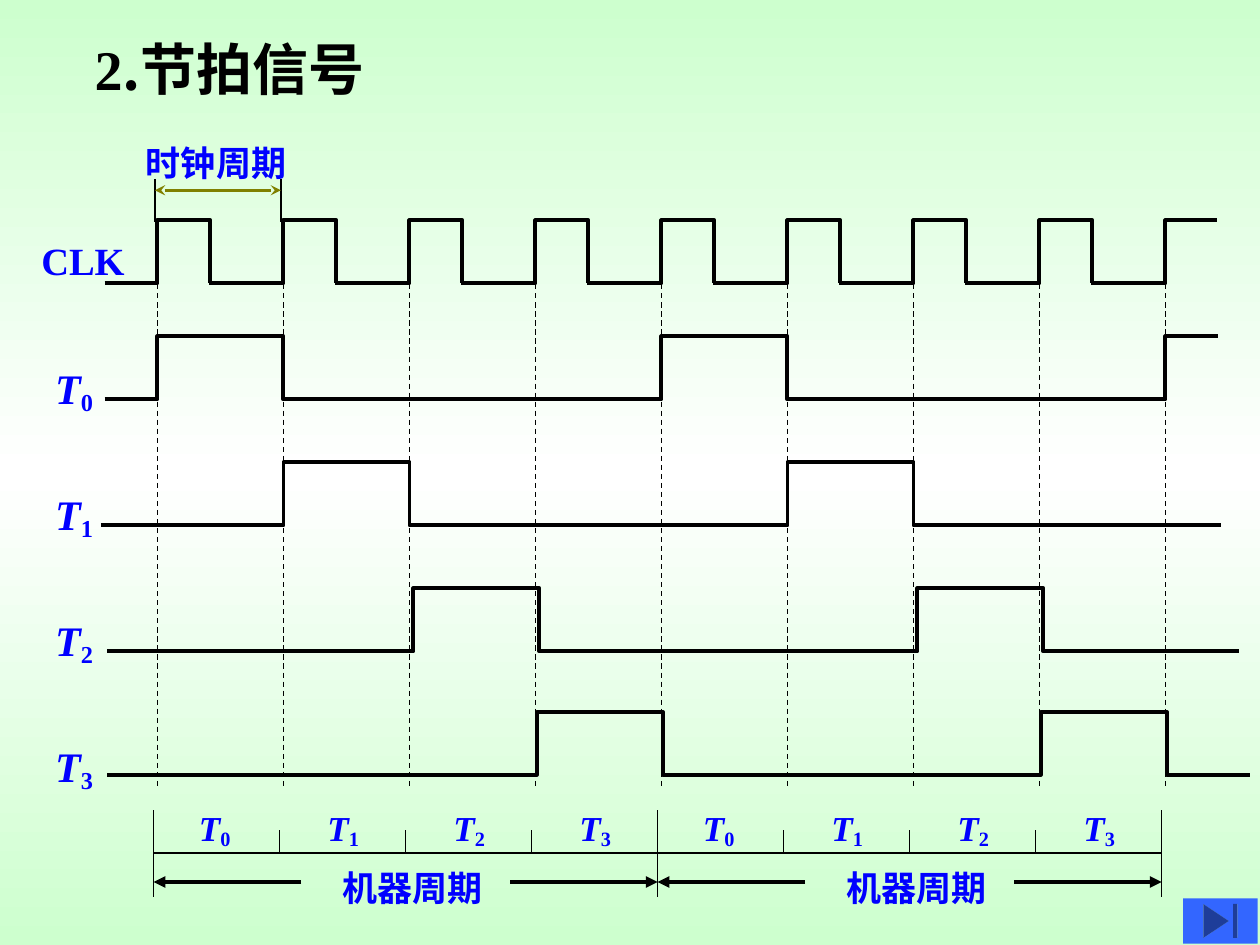
from copy import deepcopy

from lxml import etree
from pptx import Presentation
from pptx.dml.color import RGBColor
from pptx.enum.dml import MSO_LINE
from pptx.enum.shapes import MSO_CONNECTOR, MSO_SHAPE
from pptx.enum.text import MSO_ANCHOR, MSO_AUTO_SIZE, PP_ALIGN
from pptx.oxml.ns import qn
from pptx.util import Inches, Pt

STRAIGHT = MSO_CONNECTOR.STRAIGHT
DASH = MSO_LINE.DASH
END = MSO_SHAPE.ACTION_BUTTON_END
TOP = MSO_ANCHOR.TOP
LEFT = PP_ALIGN.LEFT
NO_FIT = MSO_AUTO_SIZE.NONE
BLACK = RGBColor(0x00, 0x00, 0x00)
BLUE = RGBColor(0x00, 0x00, 0xFF)
OLIVE = RGBColor(0x80, 0x80, 0x00)
BUTTON = RGBColor(0x33, 0x66, 0xFF)
GREEN = RGBColor(0xCD, 0xFF, 0xCE)
WHITE = RGBColor(0xFF, 0xFF, 0xFF)
SERIF = "Times New Roman"
HAN = "Noto Sans CJK SC"


def write(para, text, size=20, font=SERIF, color=BLUE, italic=False, base=0):
    """Add one bold run to a paragraph."""
    run = para.add_run()
    run.text = text
    run.font.size = Pt(size)
    run.font.name = font
    run.font.bold = True
    run.font.italic = italic
    run.font.color.rgb = color
    props = run.font._element
    etree.SubElement(props, qn("a:ea")).set("typeface", HAN)
    if base:
        props.set("baseline", str(base * 1000))


class Diagram:
    """Draw timing diagram elements on one slide in a shared style."""

    def __init__(self, deck):
        self.slide = deck.slides.add_slide(deck.slide_layouts[5])
        self.shapes = self.slide.shapes

    def backdrop(self):
        fill = self.slide.background.fill
        fill.gradient()
        fill.gradient_angle = 90
        stops = self.slide.element.find(".//" + qn("a:gsLst"))
        stops.insert(1, deepcopy(stops[0]))
        for stop, color, place in zip(
            fill.gradient_stops, (GREEN, WHITE, GREEN), (0, 0.5, 1)
        ):
            stop.color.rgb = color
            stop.position = place

    def title(self, number, text):
        box = self.shapes.title
        box.left, box.top = Inches(0.65), Inches(0.22)
        box.width, box.height = Inches(3.93), Inches(0.64)
        frame = box.text_frame
        frame.auto_size = NO_FIT
        frame.vertical_anchor = TOP
        para = frame.paragraphs[0]
        para.alignment = LEFT
        write(para, number, size=32, color=BLACK)
        write(para, text, size=32, font=HAN, color=BLACK)

    def label(self, text, x, y, w, h, sub="", **style):
        box = self.shapes.add_textbox(Inches(x), Inches(y), Inches(w), Inches(h))
        box.text_frame.word_wrap = False
        para = box.text_frame.paragraphs[0]
        write(para, text, italic=bool(sub), **style)
        if sub:
            write(para, sub, base=-15, **style)

    def line(self, x1, y1, x2, y2, width=0.75, color=BLACK, dash=None, head="", tail=""):
        link = self.shapes.add_connector(
            STRAIGHT, Inches(x1), Inches(y1), Inches(x2), Inches(y2)
        )
        link.line.width = Pt(width)
        link.line.color.rgb = color
        if dash:
            link.line.dash_style = dash
        stroke = link.line._get_or_add_ln()
        for tag, kind in (("a:headEnd", head), ("a:tailEnd", tail)):
            if kind:
                etree.SubElement(stroke, qn(tag)).set("type", kind)
        etree.SubElement(link._element.spPr, qn("a:effectLst"))

    def wave(self, left, right, low, rises, width):
        high = low - 0.5
        points = []
        for rise in rises:
            fall = round(rise + width, 2)
            points += [(rise, low), (rise, high), (min(fall, right), high)]
            if fall <= right:
                points.append((fall, low))
        if fall < right:
            points.append((right, low))
        form = self.shapes.build_freeform(Inches(left), Inches(low))
        form.add_line_segments([(Inches(x), Inches(y)) for x, y in points], close=False)
        shape = form.convert_to_shape()
        shape.shadow.inherit = False
        shape.fill.background()
        shape.line.color.rgb = BLACK
        shape.line.width = Pt(2.25)

    def button(self, x, y, w, h):
        shape = self.shapes.add_shape(END, Inches(x), Inches(y), Inches(w), Inches(h))
        shape.shadow.inherit = False
        shape.fill.solid()
        shape.fill.fore_color.rgb = BUTTON
        shape.line.fill.background()


def main():
    deck = Presentation()
    deck.slide_width, deck.slide_height = Inches(10), Inches(7.5)
    art = Diagram(deck)
    art.backdrop()
    art.title("2", ".节拍信号")

    rows = (
        (0.83, 9.67, 3.17, (1.25, 5.25, 9.25)),
        (0.8, 9.69, 4.17, (2.25, 6.25)),
        (0.85, 9.83, 5.17, (3.28, 7.28)),
        (0.85, 9.92, 6.15, (4.26, 8.26)),
    )
    art.label("CLK", 0.23, 1.83, 0.86, 0.47, size=22)
    for i, (left, right, low, rises) in enumerate(rows):
        art.wave(left, right, low, rises, 1)
        art.label("T", 0.34, 2.83 + i, 0.5, 0.52, sub=str(i), size=24)

    for i in range(9):
        left = i + 0.66 if i else 0.83
        right = round(i + 1.67, 2) if i < 8 else 9.66
        art.wave(left, right, 2.25, [i + 1.25], 0.42)
        art.line(i + 1.25, 1.97, i + 1.25, 6.25, dash=DASH)

    for x in (1.23, 2.23):
        art.line(x, 1.42, x, 1.76, width=1.5)
    art.line(1.23, 1.51, 2.23, 1.51, width=1.5, color=OLIVE, head="stealth", tail="stealth")
    art.label("时钟周期", 1.06, 1.07, 1.31, 0.44)

    art.line(1.22, 6.77, 9.22, 6.77)
    for i in range(9):
        x = i + 1.22
        top, foot = (6.59, 6.77) if i % 4 else (6.43, 7.12)
        art.line(x, top, x, foot)
    for i in range(8):
        shift = 0.02 if i % 4 else 0
        art.label("T", i + 1.48 + shift, 6.35, 0.45, 0.45, sub=str(i % 4))
    for x in (1.22, 5.22):
        art.line(x + 2.83, 7, x + 4, 7, width=2.25, tail="triangle")
        art.line(x + 1.17, 7, x, 7, width=2.25, tail="triangle")
        art.label("机器周期", x + 1.4, 6.83, 1.31, 0.44)
    art.button(9.39, 7.13, 0.59, 0.36)

    deck.save("out.pptx")


if __name__ == "__main__":
    main()
